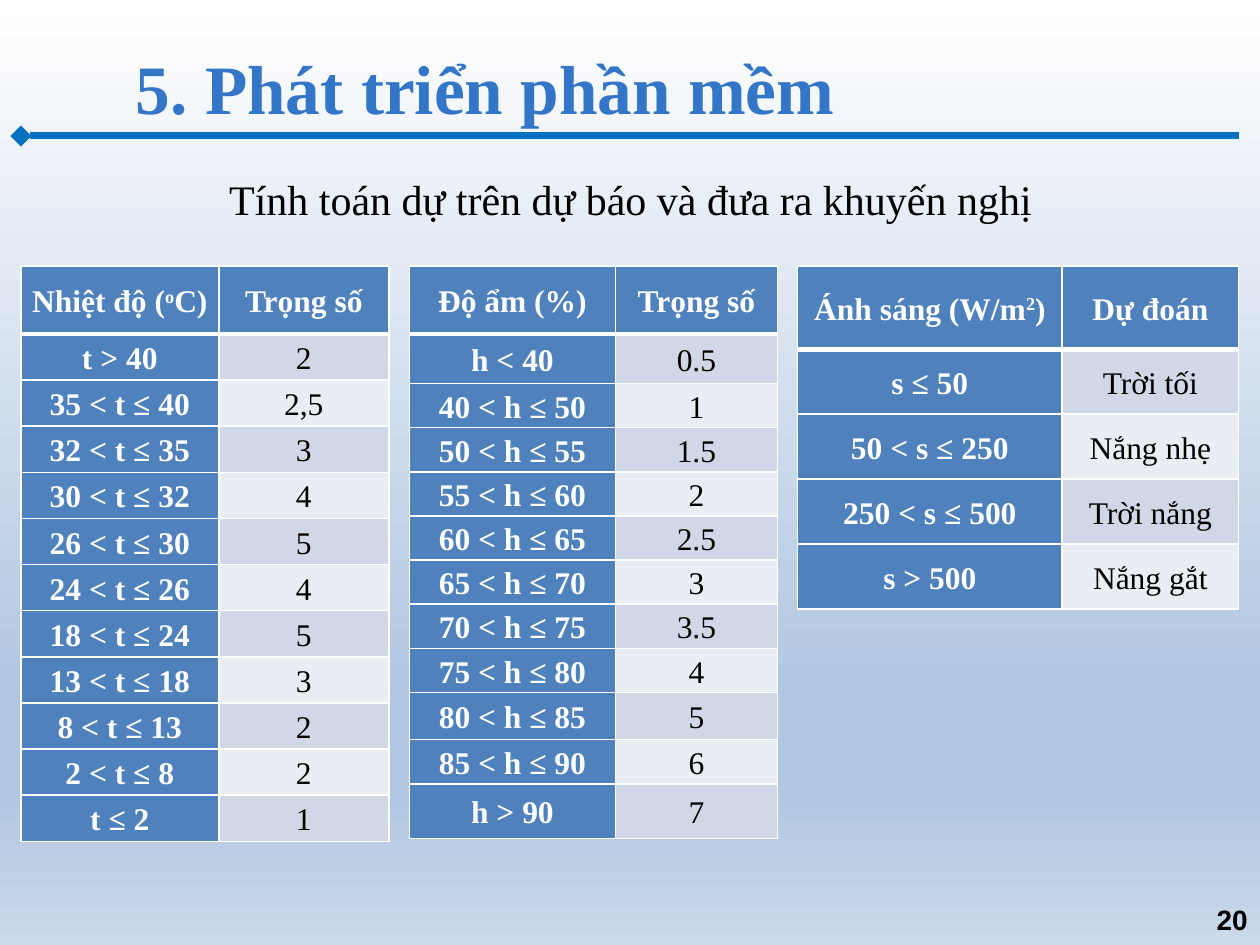
from lxml import etree
from pptx import Presentation
from pptx.dml.color import RGBColor as RGB
from pptx.enum.shapes import MSO_CONNECTOR as Conn
from pptx.enum.text import MSO_ANCHOR as Anchor, PP_ALIGN as Align
from pptx.oxml.ns import qn
from pptx.util import Cm, Pt

WHITE = RGB(0xFF, 0xFF, 0xFF)
BLACK = RGB(0, 0, 0)
BLUE = RGB(0x4F, 0x81, 0xBD)
TITLE = RGB(0x33, 0x76, 0xC7)
RULE = RGB(0x00, 0x70, 0xC0)
BANDS = RGB(0xD0, 0xD8, 0xE8), RGB(0xE9, 0xED, 0xF4)
SKY = RGB(0xB0, 0xC6, 0xE1)
STOPS = [(0, WHITE), (74, SKY), (83, SKY), (100, RGB(0xCA, 0xD9, 0xEB))]

SERIF = "Times New Roman"
HEAD = {"name": SERIF, "size": Pt(18), "bold": True}
BODY = {**HEAD, "bold": False}
PAD = {"margin_left": Cm(0.18), "margin_right": Cm(0.18),
       "margin_top": Cm(0.03), "margin_bottom": 0,
       "vertical_anchor": Anchor.MIDDLE}
PARA = {"alignment": Align.CENTER, "line_spacing": 1.07, "space_after": Pt(8)}

LEFT, TOP, GAP = 0.42, 5.36, 0.41

# Each table: column widths, row heights, rows; ^ encloses a superscript
HEAT = ([3.99, 3.43], [1.37] + [0.93] * 11, [
    ("Nhiệt độ (^o^C)", "Trọng số"),
    ("t > 40", "2"), ("35 < t ≤ 40", "2,5"), ("32 < t ≤ 35", "3"),
    ("30 < t ≤ 32", "4"), ("26 < t ≤ 30", "5"), ("24 < t ≤ 26", "4"),
    ("18 < t ≤ 24", "5"), ("13 < t ≤ 18", "3"), ("8 < t ≤ 13", "2"),
    ("2 < t ≤ 8", "2"), ("t ≤ 2", "1")])
DAMP = ([4.16, 3.26], [1.37, 1] + [0.89] * 7 + [0.95, 0.89, 1.1], [
    ("Độ ẩm (%)", "Trọng số"),
    ("h < 40", "0.5"), ("40 < h ≤ 50", "1"), ("50 < h ≤ 55", "1.5"),
    ("55 < h ≤ 60", "2"), ("60 < h ≤ 65", "2.5"), ("65 < h ≤ 70", "3"),
    ("70 < h ≤ 75", "3.5"), ("75 < h ≤ 80", "4"), ("80 < h ≤ 85", "5"),
    ("85 < h ≤ 90", "6"), ("h > 90", "7")])
LIGHT = ([5.33, 3.56], [1.68] + [1.31] * 4, [
    ("Ánh sáng (W/m^2^)", "Dự đoán"),
    ("s ≤ 50", "Trời tối"), ("50 < s ≤ 250", "Nắng nhẹ"),
    ("250 < s ≤ 500", "Trời nắng"), ("s > 500", "Nắng gắt")])


def apply(item, form):
    for key, value in form.items():
        setattr(item, key, value)


def add_run(para, text, form, color):
    run = para.add_run()
    run.text = text
    apply(run.font, form)
    run.font.color.rgb = color
    return run


def add_text(slide, box, text, form, color, align, anchor):
    frame = slide.shapes.add_textbox(*map(Cm, box)).text_frame
    apply(frame, {"word_wrap": True, "vertical_anchor": anchor})
    para = frame.paragraphs[0]
    para.alignment = align
    add_run(para, text, form, color)


def paint_back(slide):
    fill = slide.background.fill
    fill.gradient()
    fill.gradient_angle = 270
    stops = next(slide.element.iter(qn("a:gsLst")))
    for stop in list(stops):
        stops.remove(stop)
    for pos, color in STOPS:
        stop = etree.SubElement(stops, qn("a:gs"), pos=str(pos * 1000))
        etree.SubElement(stop, qn("a:srgbClr"), val=str(color))


def add_rule(slide):
    ends = map(Cm, (0.42, 2.74, 24.98, 2.74))
    rule = slide.shapes.add_connector(Conn.STRAIGHT, *ends)
    rule.line.width = Pt(4)
    rule.line.color.rgb = RULE
    props = rule.element.spPr
    etree.SubElement(props.find(qn("a:ln")), qn("a:headEnd"), type="diamond")
    etree.SubElement(props, qn("a:effectLst"))


def add_edges(cell, row):
    props = cell._tc.get_or_add_tcPr()
    widths = {"L": 1, "R": 1, "T": 3 if row == 1 else 1,
              "B": 3 if row == 0 else 1}
    for side, width in widths.items():
        line = etree.SubElement(props, qn(f"a:ln{side}"), w=str(Pt(width)))
        solid = etree.SubElement(line, qn("a:solidFill"))
        etree.SubElement(solid, qn("a:srgbClr"), val=str(WHITE))


def fill_cell(cell, text, row, col):
    head = row == 0 or col == 0
    apply(cell, PAD)
    add_edges(cell, row)
    cell.fill.solid()
    cell.fill.fore_color.rgb = BLUE if head else BANDS[(row - 1) % 2]
    para = cell.text_frame.paragraphs[0]
    apply(para, PARA)
    for i, part in enumerate(text.split("^")):
        run = add_run(para, part, HEAD if head else BODY,
                      WHITE if head else BLACK)
        if i % 2:
            run.font._element.set("baseline", "30000")


def add_grid(slide, left, cols, rows, data):
    size = map(Cm, (left, TOP, sum(cols), sum(rows)))
    grid = slide.shapes.add_table(len(rows), len(cols), *size).table
    for col, width in zip(grid.columns, cols):
        col.width = Cm(width)
    for row, height in zip(grid.rows, rows):
        row.height = Cm(height)
    for r, line in enumerate(data):
        for c, text in enumerate(line):
            fill_cell(grid.cell(r, c), text, r, c)


def main():
    deck = Presentation()
    apply(deck, {"slide_width": Cm(25.4), "slide_height": Cm(19.05)})
    slide = deck.slides.add_slide(deck.slide_layouts[6])

    # Background and heading
    paint_back(slide)
    add_rule(slide)
    add_text(slide, (2.49, 0.81, 22.91, 1.88), "5. Phát triển phần mềm",
             {**HEAD, "size": Pt(39.6)}, TITLE, Align.LEFT, Anchor.MIDDLE)
    add_text(slide, (1.07, 3.38, 23.29, 1.3),
             "Tính toán dự trên dự báo và đưa ra khuyến nghị",
             {**BODY, "size": Pt(24)}, BLACK, Align.CENTER, Anchor.TOP)

    # Tables side by side
    left = LEFT
    for cols, rows, data in (HEAT, DAMP, LIGHT):
        add_grid(slide, left, cols, rows, data)
        left += sum(cols) + GAP

    # Page number
    add_text(slide, (19.48, 18.03, 5.92, 1.02), "20",
             {"name": "Arial", "size": Pt(16), "bold": True},
             BLACK, Align.RIGHT, Anchor.MIDDLE)
    deck.save("out.pptx")


if __name__ == "__main__":
    main()
